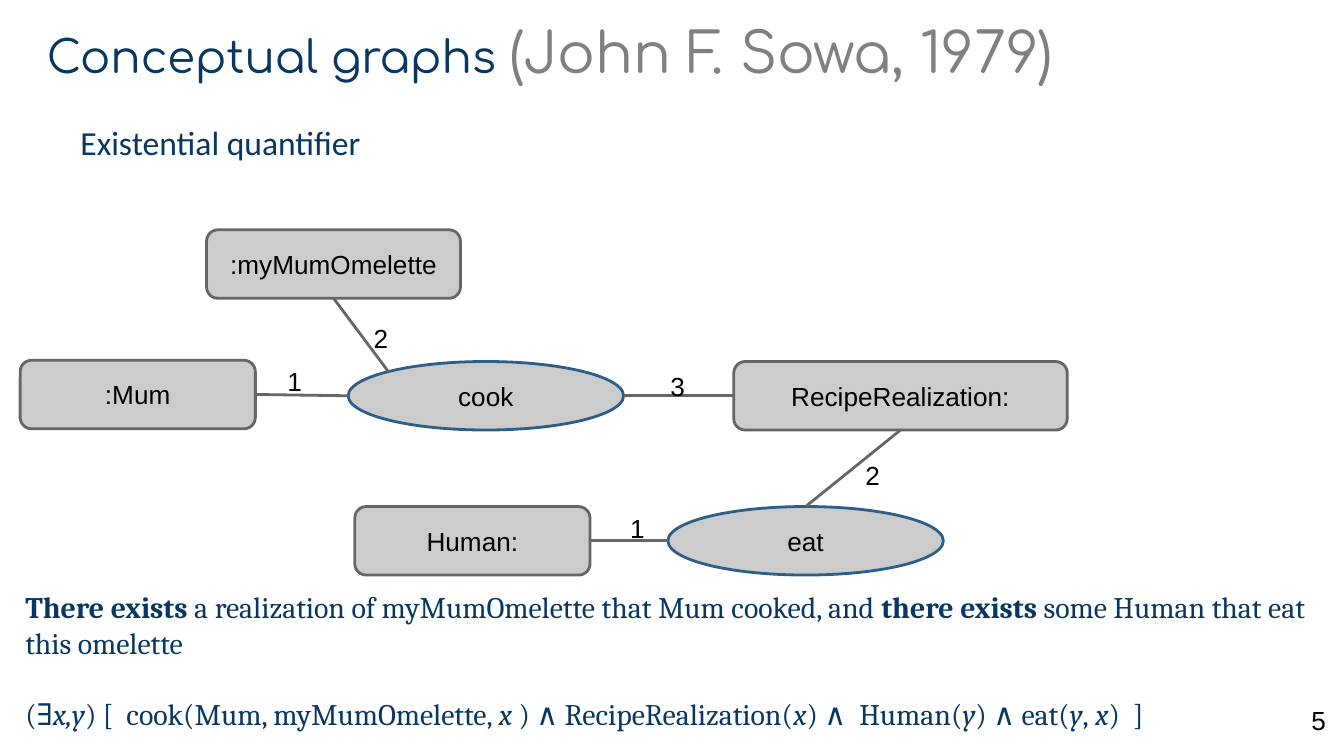
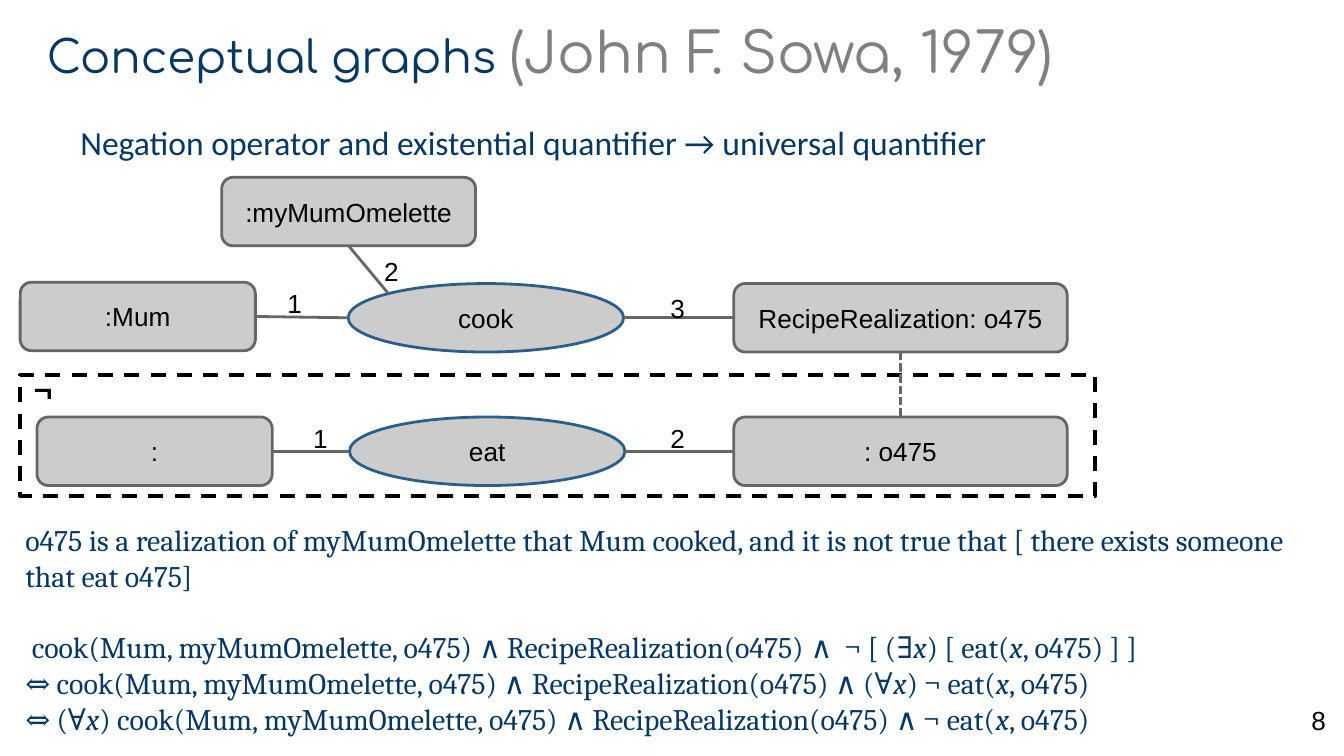
"""Build two slides on quantifiers in conceptual graphs."""
from lxml.etree import SubElement
from pptx import Presentation
from pptx.dml.color import RGBColor
from pptx.enum.dml import MSO_LINE
from pptx.enum.shapes import MSO_CONNECTOR, MSO_SHAPE
from pptx.enum.text import MSO_ANCHOR, MSO_AUTO_SIZE, PP_ALIGN
from pptx.oxml.ns import qn
from pptx.util import Pt

COLORS = {
    "navy": "073763",
    "gray": "808080",
    "fill": "CCCCCC",
    "edge": "666666",
    "blue": "2B5F8A",
    "black": "000000",
}
TOP, LEFT, BOTTOM, RIGHT = range(4)
OVAL_POINTS = {
    "left": (0, 0.5),
    "right": (1, 0.5),
    "top": (0.5, 0),
    "top left": (0.146, 0.146),
}
NODE_HEIGHT = 36.7
OVAL_WIDTH = 147.6
PERSON_WIDTH = 126
RECIPE_X, RECIPE_WIDTH = 393.1, 178.6
COOK_X = 186.5
LABEL_3_X = 352.1


def rgb(name):
    return RGBColor.from_string(COLORS[name])


class Deck:
    def __init__(self):
        self.prs = Presentation()
        self.prs.slide_width, self.prs.slide_height = Pt(720), Pt(405)
        self.slide = None

    def style(self, p, size, font="Arial", color="black"):
        p.font.size, p.font.name = Pt(size), font
        p.font.color.rgb = rgb(color)

    def text_box(self, x, y, w, h, anchor=MSO_ANCHOR.TOP):
        tb = self.slide.shapes.add_textbox(Pt(x), Pt(y), Pt(w), Pt(h))
        tf = tb.text_frame
        tf.word_wrap = True
        tf.vertical_anchor = anchor
        tf.margin_top = tf.margin_bottom = Pt(7.2)
        return tf

    def new_slide(self, heading, number):
        self.slide = self.prs.slides.add_slide(self.prs.slide_layouts[6])
        p = self.text_box(18, 10, 648, 34.6, MSO_ANCHOR.MIDDLE).paragraphs[0]
        p.font.name = "Comfortaa"
        for text, size, color in (
            ("Conceptual graphs ", 24, "navy"),
            ("(John F. Sowa, 1979)", 30, "gray"),
        ):
            r = p.add_run()
            r.text = text
            r.font.size = Pt(size)
            r.font.color.rgb = rgb(color)
        p = self.text_box(36, 58.3, 648, 54).paragraphs[0]
        p.text = heading
        self.style(p, 18, "Calibri", "navy")
        p = self.text_box(695.5, 370, 43.2, 31, MSO_ANCHOR.MIDDLE).paragraphs[0]
        p.text = str(number)
        self.style(p, 14)

    def body(self, y, statement, formulas):
        tf = self.text_box(6.5, y, 710.6, 64)
        for i, text in enumerate([statement, *formulas]):
            p = tf.add_paragraph() if i else tf.paragraphs[0]
            self.style(p, 16, "Cambria", "navy")
            if i == 1:
                p.space_before = Pt(19)
            for j, part in enumerate(text.split("*")):
                r = p.add_run()
                r.text = part
                if j % 2 and i:
                    r.font.italic = True
                elif j % 2:
                    r.font.bold = True

    def node(self, kind, edge, text, x, y, w):
        sp = self.slide.shapes.add_shape(kind, Pt(x), Pt(y), Pt(w), Pt(NODE_HEIGHT))
        sp.shadow.inherit = False
        sp.fill.solid()
        sp.fill.fore_color.rgb = rgb("fill")
        sp.line.color.rgb = rgb(edge)
        sp.line.width = Pt(1.5)
        tf = sp.text_frame
        tf.vertical_anchor = MSO_ANCHOR.MIDDLE
        p = tf.paragraphs[0]
        p.text = text
        p.alignment = PP_ALIGN.CENTER
        self.style(p, 14)
        return sp

    def concept(self, text, x, y, w):
        return self.node(MSO_SHAPE.ROUNDED_RECTANGLE, "edge", text, x, y, w)

    def relation(self, text, x, y):
        return self.node(MSO_SHAPE.OVAL, "blue", text, x, y, OVAL_WIDTH)

    def line(self, box, side, x, y):
        cn = self.slide.shapes.add_connector(MSO_CONNECTOR.STRAIGHT, x, y, x, y)
        cn.begin_connect(box, side)
        cn.line.color.rgb = rgb("edge")
        cn.line.width = Pt(1.5)
        SubElement(cn.element.spPr, qn("a:effectLst"))
        return cn

    def link(self, box, side, oval, point):
        fx, fy = OVAL_POINTS[point]
        x = oval.left + int(oval.width * fx)
        y = oval.top + int(oval.height * fy)
        return self.line(box, side, x, y)

    def coreference(self, upper, lower):
        cn = self.line(upper, BOTTOM, lower.left, lower.top)
        cn.end_connect(lower, TOP)
        cn.line.dash_style = MSO_LINE.SQUARE_DOT

    def label(self, text, x, y, w=22.3, h=24.5, size=14, font="Arial", bold=None):
        tb = self.slide.shapes.add_textbox(Pt(x), Pt(y), Pt(w), Pt(h))
        tf = tb.text_frame
        tf.word_wrap = False
        tf.auto_size = MSO_AUTO_SIZE.SHAPE_TO_FIT_TEXT
        p = tf.paragraphs[0]
        p.text = text
        self.style(p, size, font)
        p.font.bold = bold

    def negation(self, x, y, w, h):
        sp = self.slide.shapes.add_shape(MSO_SHAPE.RECTANGLE, Pt(x), Pt(y), Pt(w), Pt(h))
        sp.shadow.inherit = False
        sp.fill.background()
        sp.line.color.rgb = rgb("black")
        sp.line.width = Pt(2)
        sp.line.dash_style = MSO_LINE.DASH
        self.label("¬", x, y - 6.5, 27.4, 28.8, 18, "Cambria", True)

    def cook_graph(self, y, omelette_at, label_at, recipe_text):
        omelette = self.concept(":myMumOmelette", *omelette_at, 136)
        mum = self.concept(":Mum", 10.8, y - 0.7, PERSON_WIDTH)
        recipe = self.concept(recipe_text, RECIPE_X, y, RECIPE_WIDTH)
        cook = self.relation("cook", COOK_X, y)
        self.link(mum, RIGHT, cook, "left")
        self.link(omelette, BOTTOM, cook, "top left")
        self.link(recipe, LEFT, cook, "right")
        self.label("1", 146.9, y - 1.4)
        self.label("2", *label_at)
        self.label("3", LABEL_3_X, y + 1.4)
        return recipe

    def eat_graph(self, y, eater_text, eater_x, eat_x, label_x):
        eater = self.concept(eater_text, eater_x, y, PERSON_WIDTH)
        eat = self.relation("eat", eat_x, y)
        self.link(eater, RIGHT, eat, "left")
        self.label("1", label_x, y - 0.7)
        return eat


def existential_slide(deck):
    deck.new_slide("Existential quantifier", 5)
    deck.body(
        308.2,
        "*There exists *a realization of myMumOmelette that Mum cooked, and "
        "*there exists *some Human that eat this omelette",
        ["(∃*x,y*) [  cook(Mum, myMumOmelette, *x* ) ∧ RecipeRealization(*x*) "
         "∧  Human(*y*) ∧ eat(*y*,* x*)  ]"],
    )
    recipe = deck.cook_graph(193.7, (110.7, 123.1), (193, 169.2), "RecipeRealization:")
    eat = deck.eat_graph(271.4, "Human:", 190.1, 357.8, 330.5)
    deck.link(recipe, BOTTOM, eat, "top")
    deck.label("2", 456.5, 242.6)


def universal_slide(deck):
    deck.new_slide(
        "Negation operator and existential quantifier → universal quantifier", 8)
    deck.body(
        272.2,
        "o475 is a realization of myMumOmelette that Mum cooked, and it is not "
        "true that [ there exists someone that eat o475]",
        [" cook(Mum, myMumOmelette, o475) ∧ RecipeRealization(o475) ∧  "
         "¬ [ (∃*x*) [ eat(*x*, o475) ] ]",
         "⇔ cook(Mum, myMumOmelette, o475) ∧ RecipeRealization(o475) ∧ "
         "(∀*x*) ¬ eat(*x*, o475)",
         "⇔ (∀*x*) cook(Mum, myMumOmelette, o475) ∧ RecipeRealization(o475) ∧ "
         "¬ eat(*x*, o475)"],
    )
    recipe = deck.cook_graph(151.9, (118.8, 95), (198.7, 133.2), "RecipeRealization: o475")
    y = 223.4
    eat = deck.eat_graph(y, ":", 19.8, 187.2, 160.6)
    eaten = deck.concept(": o475", RECIPE_X, y, RECIPE_WIDTH)
    deck.link(eaten, LEFT, eat, "right")
    deck.label("2", LABEL_3_X, y - 0.7)
    deck.negation(10.8, 200.9, 576, 64.8)
    deck.coreference(recipe, eaten)


def main():
    deck = Deck()
    existential_slide(deck)
    universal_slide(deck)
    deck.prs.save("out.pptx")


if __name__ == "__main__":
    main()
